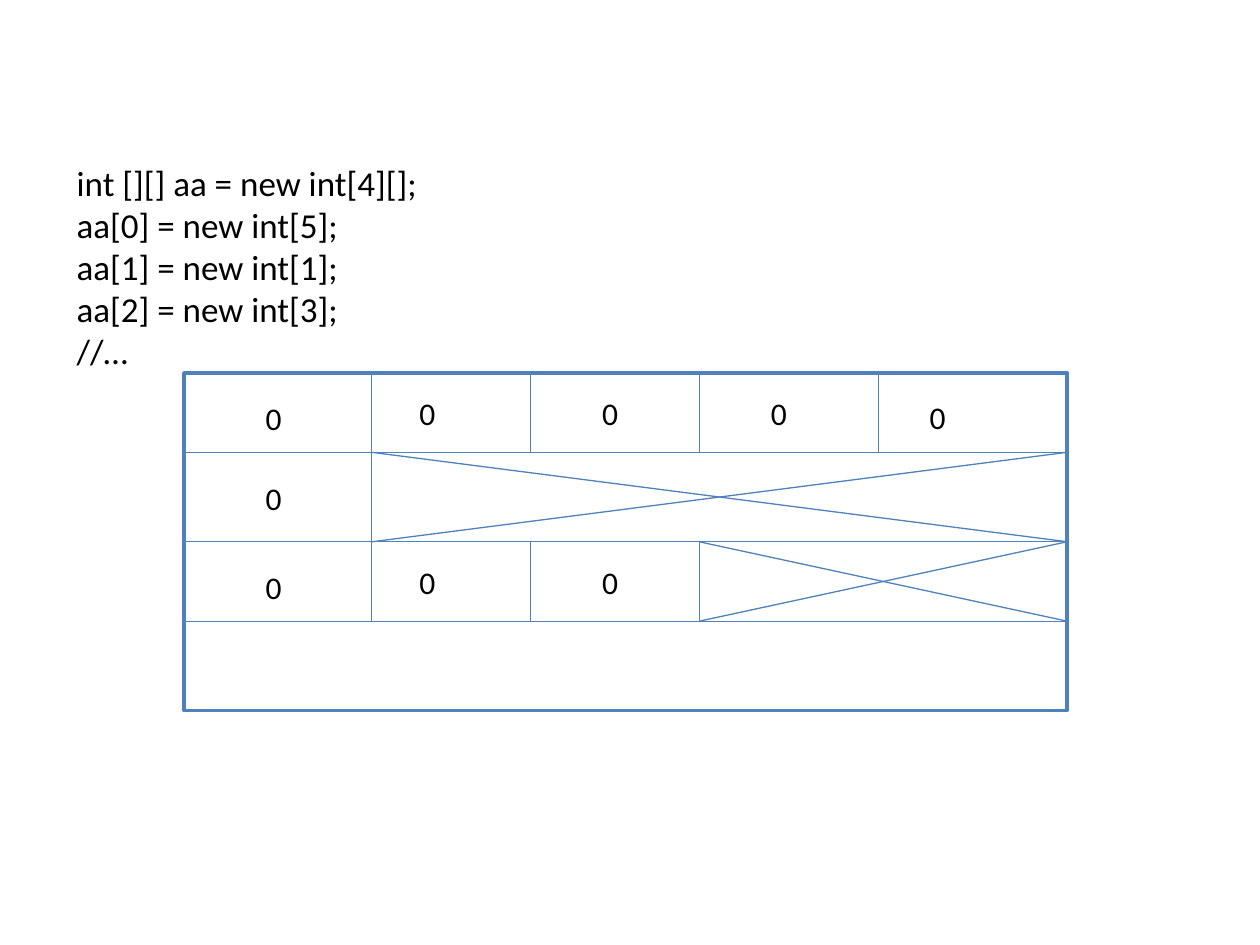
from lxml import etree
from pptx import Presentation
from pptx.dml.color import RGBColor
from pptx.enum.shapes import MSO_CONNECTOR, MSO_SHAPE
from pptx.enum.text import MSO_AUTO_SIZE
from pptx.oxml.ns import qn
from pptx.util import Inches, Pt

STRAIGHT = MSO_CONNECTOR.STRAIGHT
RECTANGLE = MSO_SHAPE.RECTANGLE
FIT_TEXT = MSO_AUTO_SIZE.SHAPE_TO_FIT_TEXT
LEFT_SITE, RIGHT_SITE = 1, 3

COLORS = {"line": "4F81BD", "fill": "FFFFFF", "text": "000000"}
CODE = [
    "int [][] aa = new int[4][];",
    "aa[0] = new int[5];",
    "aa[1] = new int[1];",
    "aa[2] = new int[3];",
    "//…",
]
COLUMN_EDGES = [1.46, 2.95, 4.21, 5.55, 6.97, 8.47]
ROW_EDGES = [2.96, 3.59, 4.3, 4.93, 5.64]
DIGIT_LEFTS = [2.01, 3.23, 4.68, 6.02, 7.28]
DIGIT_DROPS = [0.16, 0.12, 0.12, 0.12, 0.15]
ROW_LENGTHS = [5, 1, 3]


class ArraySlide:
    """Draws the elements of a jagged array diagram in one style."""

    def __init__(self, slide, font="Calibri"):
        self.slide = slide
        self.font = font

    def color(self, key):
        return RGBColor.from_string(COLORS[key])

    def frame(self, left, top, right, bottom):
        frame = self.slide.shapes.add_shape(
            RECTANGLE, Inches(left), Inches(top), Inches(right - left), Inches(bottom - top))
        frame.shadow.inherit = False
        frame.fill.solid()
        frame.fill.fore_color.rgb = self.color("fill")
        frame.line.color.rgb = self.color("line")
        frame.line.width = Pt(2)
        return frame

    def line(self, start, end):
        line = self.slide.shapes.add_connector(STRAIGHT, *map(Inches, start + end))
        line.line.color.rgb = self.color("line")
        line.line.width = Pt(0.75)
        etree.SubElement(line.element.spPr, qn("a:effectLst"))
        return line

    def text(self, left, top, width, height, lines, size):
        box = self.slide.shapes.add_textbox(*map(Inches, (left, top, width, height)))
        body = box.text_frame
        body.word_wrap = True
        body.auto_size = FIT_TEXT
        for index, content in enumerate(lines):
            paragraph = body.add_paragraph() if index else body.paragraphs[0]
            run = paragraph.add_run()
            run.text = content
            run.font.name = self.font
            run.font.size = Pt(size)
            run.font.color.rgb = self.color("text")


def main():
    presentation = Presentation()
    presentation.slide_width, presentation.slide_height = Inches(10), Inches(7.5)
    diagram = ArraySlide(presentation.slides.add_slide(presentation.slide_layouts[6]))

    left, right = COLUMN_EDGES[0], COLUMN_EDGES[-1]
    middle = ROW_EDGES[2]
    array = diagram.frame(left, ROW_EDGES[0], right, ROW_EDGES[-1])
    for edge in ROW_EDGES[1:-1]:
        divider = diagram.line((left, edge), (right, edge))
        if edge == middle:
            divider.begin_connect(array, LEFT_SITE)
            divider.end_connect(array, RIGHT_SITE)

    diagram.text(0.51, 1.23, 2.99, 2.44, CODE, 20)

    for length, top, bottom in zip(ROW_LENGTHS, ROW_EDGES, ROW_EDGES[1:]):
        for edge in COLUMN_EDGES[1:-1][:length]:
            diagram.line((edge, top), (edge, bottom))
        for digit_left, drop in zip(DIGIT_LEFTS[:length], DIGIT_DROPS):
            diagram.text(digit_left, top + drop, 0.55, 0.4, ["0"], 18)
        if length < len(DIGIT_LEFTS):
            unused = COLUMN_EDGES[length]
            for start, end in ((top, bottom), (bottom, top)):
                diagonal = diagram.line((unused, start), (right, end))
                if end == middle:
                    diagonal.end_connect(array, RIGHT_SITE)

    presentation.save("out.pptx")


if __name__ == "__main__":
    main()
